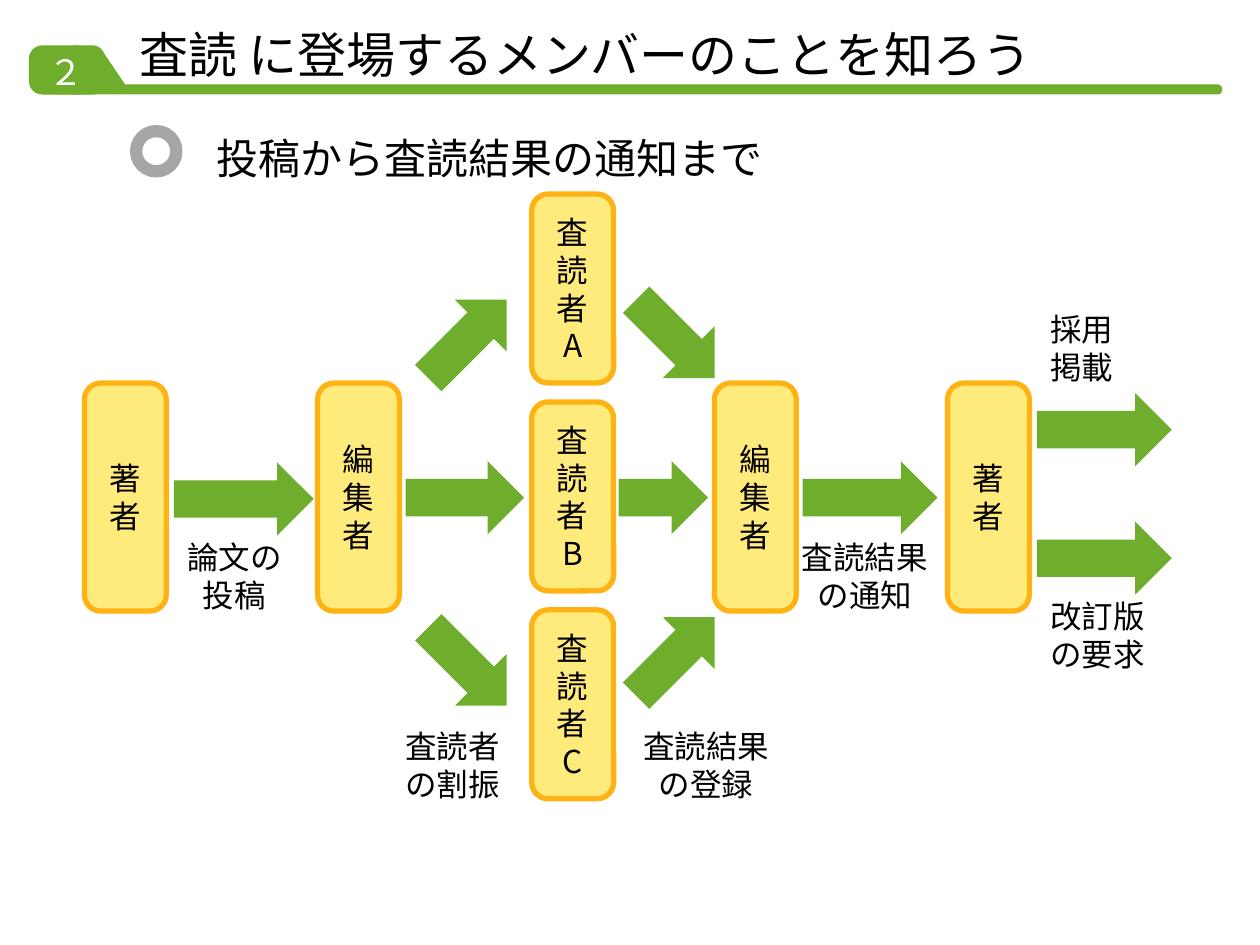
from pptx import Presentation
from pptx.dml.color import RGBColor
from pptx.enum.shapes import MSO_SHAPE as Shape
from pptx.enum.text import MSO_ANCHOR as Anchor, PP_ALIGN as Align
from pptx.oxml.ns import qn
from pptx.util import Emu, Pt
from lxml import etree

PX = 9144  # 100 px to the inch
FONT = "Noto Sans CJK JP"
COLORS = {"green": "6FAD2C", "yellow": "FFEA7C", "orange": "FFB213",
          "gray": "A6A6A6", "black": "000000", "white": "FFFFFF"}
CARD_WIDTH, ARROW_HEIGHT = 65, 58


def color(name):
    return RGBColor.from_string(COLORS[name])


def emu(*lengths):
    return [Emu(length * PX) for length in lengths]


def add_shape(slide, kind, box, fill=None, line=None, line_width=0,
              adjustments=(), rotation=0):
    shape = slide.shapes.add_shape(kind, *emu(*box))
    shape.shadow.inherit = False
    shape.rotation = rotation
    for index, value in enumerate(adjustments):
        shape.adjustments[index] = value
    if fill:
        shape.fill.solid()
        shape.fill.fore_color.rgb = color(fill)
    else:
        shape.fill.background()
    if line:
        shape.line.color.rgb = color(line)
        shape.line.width = Pt(line_width)
    else:
        shape.line.fill.background()
    return shape


def write(shape, paragraphs, size, text_color="black", align=Align.LEFT,
          anchor=Anchor.TOP, wrap=True):
    """Write one paragraph per string; a newline is a line break."""
    frame = shape.text_frame
    frame.word_wrap = wrap
    frame.vertical_anchor = anchor
    for index, text in enumerate(paragraphs):
        paragraph = frame.add_paragraph() if index else frame.paragraphs[0]
        paragraph.alignment = align
        paragraph.line_spacing = Pt(size * 1.2)
        for part, words in enumerate(text.split("\n")):
            if part:
                paragraph.add_line_break()
            run = paragraph.add_run()
            run.text = words
            run.font.size = Pt(size)
            run.font.name = FONT
            run.font.color.rgb = color(text_color)
            east_asian = etree.SubElement(run.font._element, qn("a:ea"))
            east_asian.set("typeface", FONT)


def add_text(slide, box, paragraphs, size, **style):
    write(slide.shapes.add_textbox(*emu(*box)), paragraphs, size, **style)


def add_header(slide, left, top, number, title):
    # Numbered tab and rule
    add_shape(slide, Shape.ROUNDED_RECTANGLE, (left + 28, top + 32, 32, 39),
              "green", adjustments=[0.29])
    add_shape(slide, Shape.ROUNDED_RECTANGLE, (left + 19, top + 63, 928, 8),
              "green", adjustments=[0.44])
    add_shape(slide, Shape.RIGHT_TRIANGLE, (left + 58, top + 36, 21, 31), "green")
    add_shape(slide, Shape.ROUND_2_SAME_RECTANGLE, (left, top + 32, 39, 39),
              "green", adjustments=[0.27, 0], rotation=270)
    # Title and number
    add_text(slide, (left + 78, top, 792, 67), [title], 28, anchor=Anchor.BOTTOM)
    add_text(slide, (left + 6, top + 31, 48, 44), [number], 20,
             text_color="white", wrap=False)


def add_subtitle(slide, left, top, text):
    add_shape(slide, Shape.OVAL, (left, top + 4, 32, 32),
              line="gray", line_width=7)
    add_text(slide, (left + 54, top, 783, 50), [text], 24)


def add_card(slide, left, top, height, paragraphs):
    card = add_shape(slide, Shape.ROUNDED_RECTANGLE,
                     (left, top, CARD_WIDTH, height), "yellow", "orange", 3, [0.2])
    write(card, paragraphs, 18, align=Align.CENTER, anchor=Anchor.MIDDLE)


def add_arrow(slide, left, top, width, rotation=0):
    add_shape(slide, Shape.RIGHT_ARROW, (left, top, width, ARROW_HEIGHT),
              "green", adjustments=[0.51, 0.5], rotation=rotation)


def add_flow(slide, left, top):
    # Authors and editors
    for x, role in ((0, "著\n者"), (185, "編集者"), (500, "編集者"), (685, "著\n者")):
        add_card(slide, left + x, top + 150, 181, [role])
    # Reviewers
    for index, letter in enumerate("ABC"):
        add_card(slide, left + 355, top + index * 165, 150, ["査読者", letter])
    # Arrows: x, y, width, rotation
    for x, y, width, rotation in (
            (71, 213, 111, 0),
            (260, 86, 88, 315), (255, 212, 94, 0), (260, 346, 88, 45),
            (425, 86, 88, 45), (424, 212, 71, 0), (425, 338, 88, 315),
            (570, 212, 107, 0),
            (756, 158, 107, 0), (756, 260, 107, 0)):
        add_arrow(slide, left + x, top + y, width, rotation)
    # Step labels: x, y, width, paragraphs
    for x, y, width, paragraphs in (
            (71, 268, 96, ["論文の\n投稿"]),
            (244, 418, 96, ["査読者\nの割振"]),
            (433, 418, 121, ["査読結果\nの登録"]),
            (559, 268, 121, ["査読結果\nの通知"]),
            (756, 87, 71, ["採用", "掲載"]),
            (756, 315, 96, ["改訂版", "の要求"])):
        add_text(slide, (left + x, top + y, width, 71), paragraphs, 18,
                 align=Align.CENTER, wrap=False)


def main():
    presentation = Presentation()
    presentation.slide_width, presentation.slide_height = emu(1000, 750)
    slide = presentation.slides.add_slide(presentation.slide_layouts[6])
    add_header(slide, 23, 4, "２", "査読 に登場するメンバーのことを知ろう")
    add_subtitle(slide, 108, 100, "投稿から査読結果の通知まで")
    add_flow(slide, 67, 154)
    presentation.save("out.pptx")


if __name__ == "__main__":
    main()
